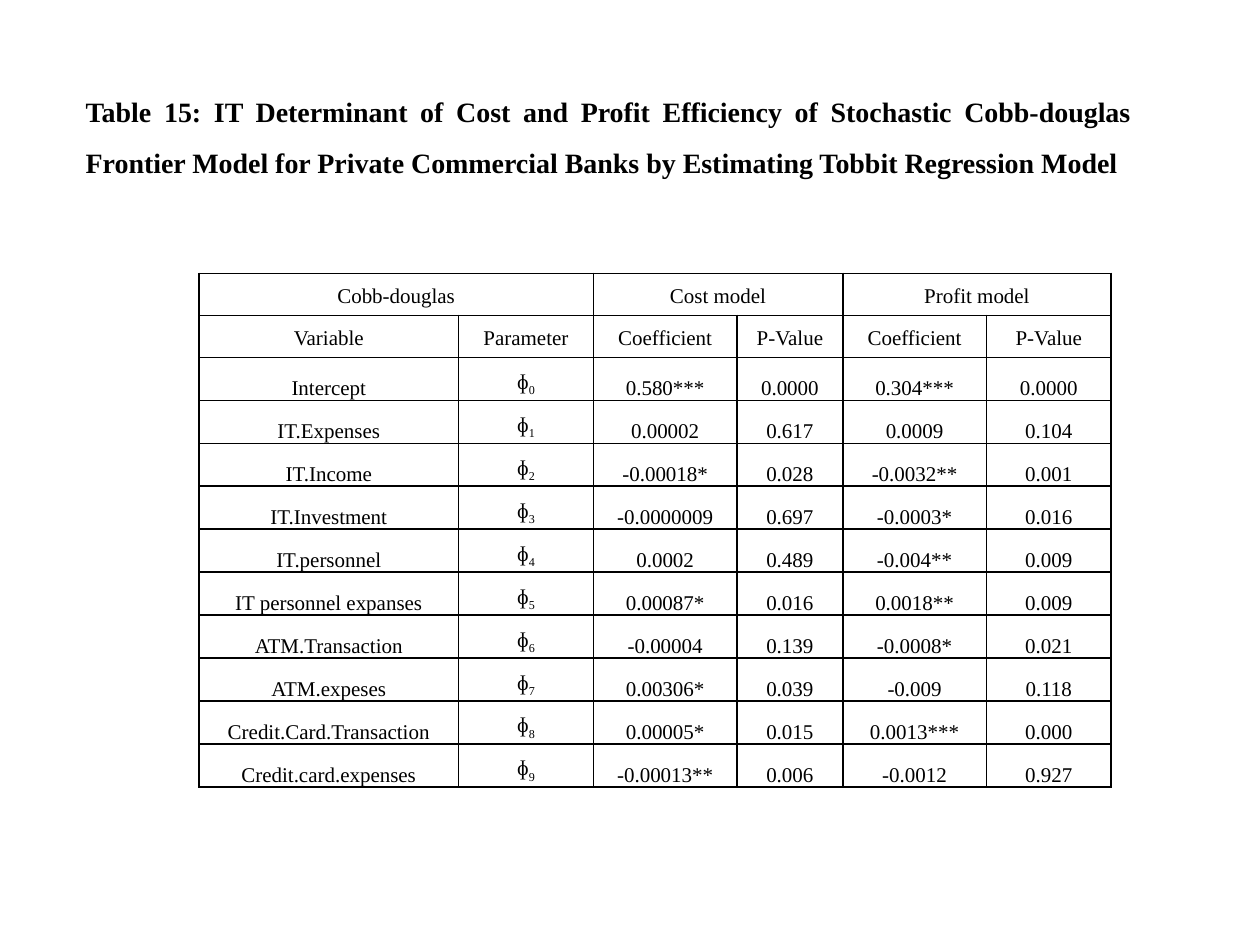
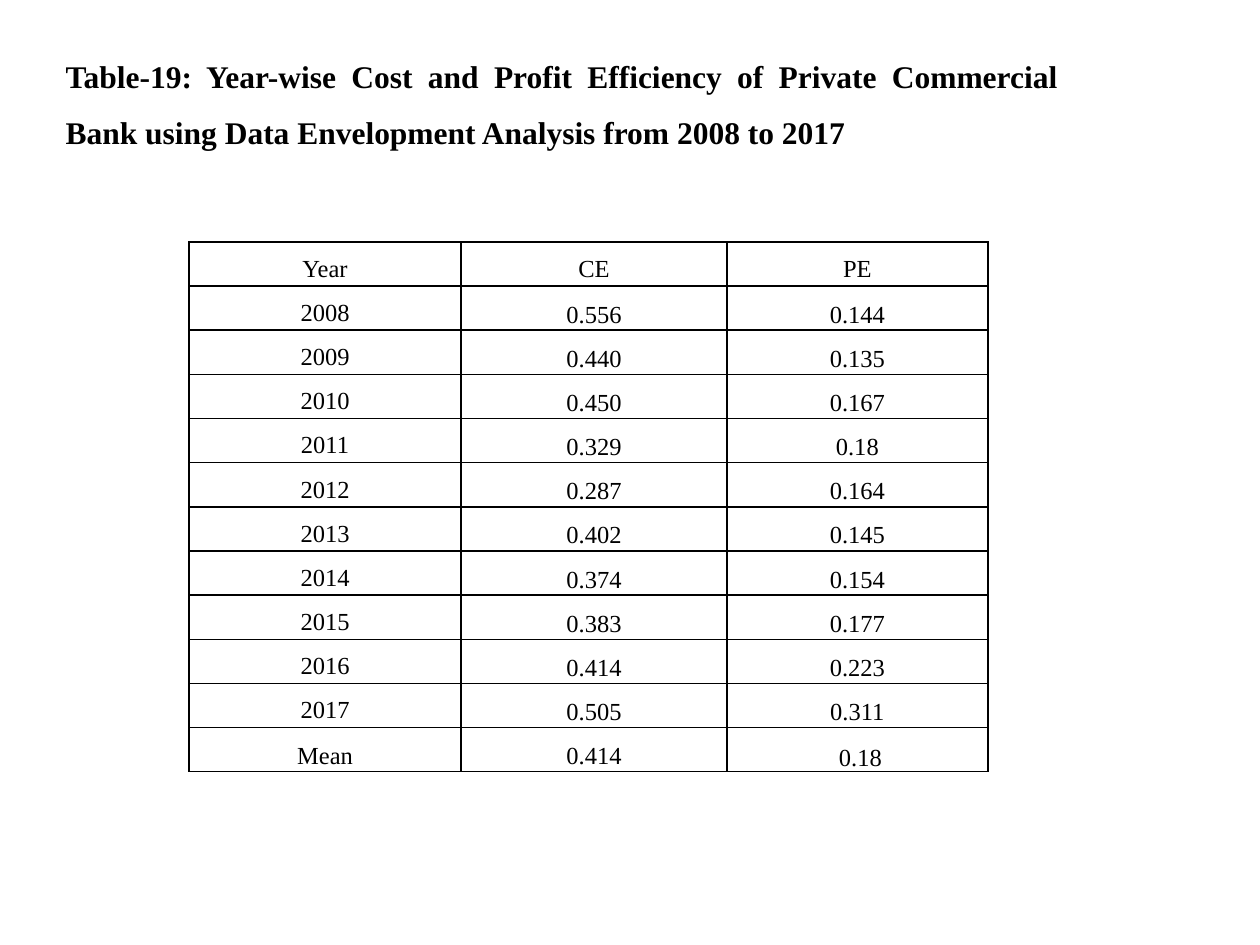
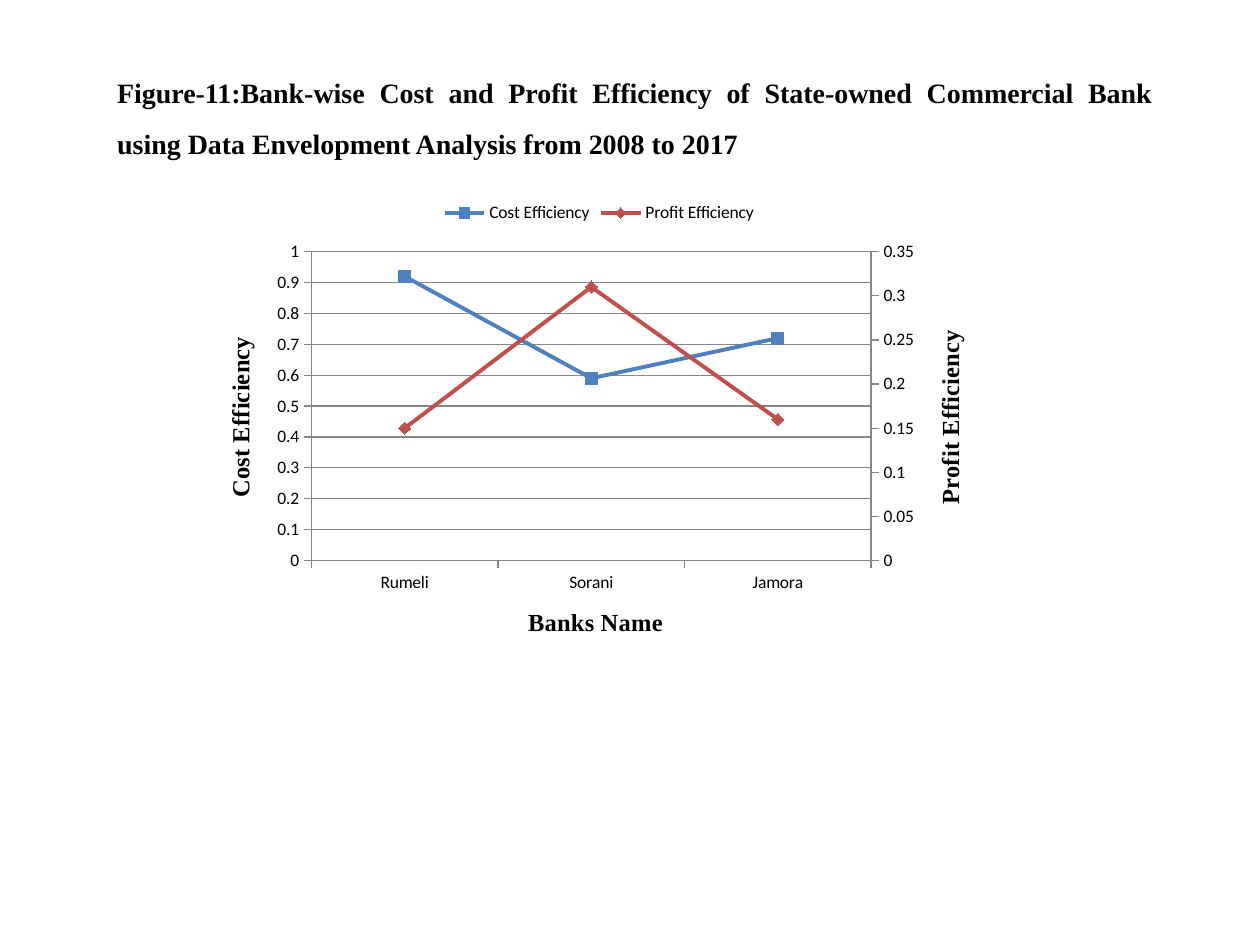
from copy import deepcopy

from lxml import etree
from pptx import Presentation
from pptx import util as u
from pptx.chart import data as chart_data
from pptx.dml.color import RGBColor
from pptx.enum import chart as ch
from pptx.enum import text as tx
from pptx.oxml import ns

PX = 9144
COLORS = {"ink": "000000", "paper": "FFFFFF", "axis": "868686",
          "cost": "4F81BD", "profit": "C0504D"}
SERIF, SANS = "Times New Roman", "Calibri"
TOP, MIDDLE, BOTTOM = (tx.MSO_ANCHOR.TOP, tx.MSO_ANCHOR.MIDDLE, tx.MSO_ANCHOR.BOTTOM)
TITLE_ONLY = 5

REGRESSION = [
    ["Cobb-douglas", "", "Cost model", "", "Profit model", ""],
    ["Variable", "Parameter"] + ["Coefficient", "P-Value"] * 2,
    ["Intercept", "ɸ0", "0.580***", "0.0000", "0.304***", "0.0000"],
    ["IT.Expenses", "ɸ1", "0.00002", "0.617", "0.0009", "0.104"],
    ["IT.Income", "ɸ2", "-0.00018*", "0.028", "-0.0032**", "0.001"],
    ["IT.Investment", "ɸ3", "-0.0000009", "0.697", "-0.0003*", "0.016"],
    ["IT.personnel", "ɸ4", "0.0002", "0.489", "-0.004**", "0.009"],
    ["IT personnel expanses", "ɸ5", "0.00087*", "0.016", "0.0018**", "0.009"],
    ["ATM.Transaction", "ɸ6", "-0.00004", "0.139", "-0.0008*", "0.021"],
    ["ATM.expeses", "ɸ7", "0.00306*", "0.039", "-0.009", "0.118"],
    ["Credit.Card.Transaction", "ɸ8", "0.00005*", "0.015", "0.0013***", "0.000"],
    ["Credit.card.expenses", "ɸ9", "-0.00013**", "0.006", "-0.0012", "0.927"],
]
YEARLY = [
    ["Year", "CE", "PE"],
    ["2008", "0.556", "0.144"],
    ["2009", "0.440", "0.135"],
    ["2010", "0.450", "0.167"],
    ["2011", "0.329", "0.18"],
    ["2012", "0.287", "0.164"],
    ["2013", "0.402", "0.145"],
    ["2014", "0.374", "0.154"],
    ["2015", "0.383", "0.177"],
    ["2016", "0.414", "0.223"],
    ["2017", "0.505", "0.311"],
    ["Mean", "0.414", " 0.18"],
]
BANKS = ["Rumeli", "Sorani", "Jamora"]
EFFICIENCY = [
    ("Cost Efficiency", [0.92, 0.59, 0.72], "cost", ch.XL_MARKER_STYLE.SQUARE),
    ("Profit Efficiency", [0.15, 0.31, 0.16], "profit", ch.XL_MARKER_STYLE.DIAMOND),
]


def px(length):
    """Turn px into EMU."""
    return u.Emu(length * PX)


def rgb(name):
    """Look up a named colour."""
    return RGBColor.from_string(COLORS[name])


def style_font(font, size, face=SERIF, bold=False):
    """Give a font its size, face, weight and the ink colour."""
    font.size, font.name, font.bold = u.Pt(size), face, bold
    font.color.rgb = rgb("ink")


def write(paragraph, pieces, size, align, after=0, bold=False):
    """Fill a paragraph run by run; pieces after the first are subscripts."""
    paragraph.alignment, paragraph.line_spacing = align, 1.5
    paragraph.space_after = u.Pt(after)
    for index, piece in enumerate(pieces):
        run = paragraph.add_run()
        run.text = piece
        style_font(run.font, size, bold=bold)
        if index:
            run._r.get_or_add_rPr().set("baseline", "-25000")


def titled_slide(deck, heading, box, size, after=0):
    """Add a slide with a justified bold heading in the given box."""
    slide = deck.slides.add_slide(deck.slide_layouts[TITLE_ONLY])
    title = slide.shapes.title
    title.left, title.top, title.width, title.height = map(px, box)
    frame = title.text_frame
    frame.word_wrap, frame.vertical_anchor = True, TOP
    frame.auto_size = tx.MSO_AUTO_SIZE.SHAPE_TO_FIT_TEXT
    write(frame.paragraphs[0], [heading], size, tx.PP_ALIGN.JUSTIFY, after, bold=True)
    return slide


def frame_cell(cell):
    """Give a cell thin margins, four ink borders and a paper fill."""
    cell.margin_left = cell.margin_right = px(7)
    cell.margin_top = cell.margin_bottom = 0
    properties = cell._tc.get_or_add_tcPr()
    for side in ("lnL", "lnR", "lnT", "lnB"):
        line = etree.SubElement(properties, ns.qn(f"a:{side}"), w=str(u.Pt(1)))
        solid = etree.SubElement(line, ns.qn("a:solidFill"))
        etree.SubElement(solid, ns.qn("a:srgbClr"), val=COLORS["ink"])
    cell.fill.solid()
    cell.fill.fore_color.rgb = rgb("paper")


def grid(slide, rows, box, widths, size, cell_rule):
    """Add a bordered table; cell_rule gives pieces, anchor and space after."""
    left, top, width, height = map(px, box)
    table = slide.shapes.add_table(len(rows), len(widths), left, top, width, height).table
    table.first_row = table.horz_banding = False
    for column, column_width in zip(table.columns, widths):
        column.width = px(column_width)
    for r, row in enumerate(rows):
        table.rows[r].height = height // len(rows)
        for c, value in enumerate(row):
            cell = table.cell(r, c)
            frame_cell(cell)
            if value:
                pieces, cell.vertical_anchor, after = cell_rule(r, c, value)
                write(cell.text_frame.paragraphs[0], pieces, size,
                      tx.PP_ALIGN.CENTER, after)
    return table


def regression_cell(r, c, value):
    """Set figures at the bottom, headings and parameters at the top."""
    if r > 1 and c == 1:
        return list(value), TOP, 10
    return [value], BOTTOM if r > 1 else TOP, 10


def yearly_cell(r, c, value):
    """Set the header on top, years on top and figures in the middle."""
    if r == 0:
        return [value], TOP, 0
    if r == len(YEARLY) - 1:
        return [value], *((BOTTOM, 10) if c == 2 else (MIDDLE, 0))
    return [value], *((TOP, 10), (MIDDLE, 0), (MIDDLE, 10))[c]


def style_axis(axis, caption, upright=False):
    """Give an axis its caption, outside ticks and grey line."""
    axis.major_tick_mark = ch.XL_TICK_MARK.OUTSIDE
    axis.minor_tick_mark = ch.XL_TICK_MARK.NONE
    axis.format.line.color.rgb = rgb("axis")
    axis.format.line.width = u.Pt(0.75)
    style_font(axis.tick_labels.font, 10, SANS)
    frame = axis.axis_title.text_frame
    run = frame.paragraphs[0].add_run()
    run.text = caption
    style_font(run.font, 14, bold=True)
    if upright:
        body = frame._txBody.find(ns.qn("a:bodyPr"))
        body.set("rot", "-5400000")
        body.set("vert", "horz")


def set_value(parent, tag, value):
    """Set the val attribute of a chart element below parent."""
    parent.find(f".//{ns.qn(tag)}").set("val", str(value))


def split_to_right_axis(plot_area, caption, maximum, step):
    """Move the second series to its own plot with a value axis on the right."""
    cost_plot = plot_area.find(ns.qn("c:lineChart"))
    profit_plot = deepcopy(cost_plot)
    cost_plot.remove(cost_plot.findall(ns.qn("c:ser"))[1])
    profit_plot.remove(profit_plot.findall(ns.qn("c:ser"))[0])
    cost_plot.addnext(profit_plot)
    banks_axis = deepcopy(plot_area.find(ns.qn("c:catAx")))
    value_axis = plot_area.find(ns.qn("c:valAx"))
    right_axis = deepcopy(value_axis)
    value_axis.addnext(right_axis)
    right_axis.addnext(banks_axis)
    banks_id, right_id = 50010, 50020
    for reference, number in zip(profit_plot.findall(ns.qn("c:axId")), (banks_id, right_id)):
        reference.set("val", str(number))
    for axis, own, other in ((banks_axis, banks_id, right_id),
                             (right_axis, right_id, banks_id)):
        set_value(axis, "c:axId", own)
        set_value(axis, "c:crossAx", other)
    set_value(banks_axis, "c:delete", 1)
    banks_axis.remove(banks_axis.find(ns.qn("c:title")))
    right_axis.remove(right_axis.find(ns.qn("c:majorGridlines")))
    for tag, value in (("c:axPos", "r"), ("c:crosses", "max"),
                       ("c:max", maximum), ("c:majorUnit", step)):
        set_value(right_axis, tag, value)
    right_axis.find(f".//{ns.qn('a:t')}").text = caption


def place_plot(plot_area, x, y, w, h):
    """Fix the inner plot area as fractions of the chart."""
    for old in plot_area.findall(ns.qn("c:layout")):
        plot_area.remove(old)
    layout = etree.Element(ns.qn("c:layout"))
    manual = etree.SubElement(layout, ns.qn("c:manualLayout"))
    for tag, value in (("layoutTarget", "inner"), ("xMode", "edge"), ("yMode", "edge"),
                       ("x", x), ("y", y), ("w", w), ("h", h)):
        etree.SubElement(manual, ns.qn(f"c:{tag}"), val=str(value))
    plot_area.insert(0, layout)


def efficiency_chart(slide, box):
    """Add the line chart of cost (left axis) and profit (right axis) by bank."""
    figures = chart_data.CategoryChartData()
    figures.categories = BANKS
    for name, values, _, _ in EFFICIENCY:
        figures.add_series(name, values)
    chart = slide.shapes.add_chart(ch.XL_CHART_TYPE.LINE_MARKERS,
                                   *map(px, box), figures).chart
    chart.has_title = False
    style_font(chart.font, 10, SANS)
    chart.has_legend = True
    chart.legend.position = ch.XL_LEGEND_POSITION.TOP
    chart.legend.include_in_layout = False
    style_font(chart.legend.font, 10, SANS)
    chart.plots[0].vary_by_categories = False
    for series, (_, _, color, marker) in zip(chart.plots[0].series, EFFICIENCY):
        series.smooth = False
        series.format.line.color.rgb = rgb(color)
        series.format.line.width = u.Pt(2.25)
        series.marker.style, series.marker.size = marker, 7
        series.marker.format.fill.solid()
        series.marker.format.fill.fore_color.rgb = rgb(color)
        series.marker.format.line.color.rgb = rgb(color)
    style_axis(chart.category_axis, "Banks Name")
    left_axis = chart.value_axis
    style_axis(left_axis, EFFICIENCY[0][0], upright=True)
    left_axis.minimum_scale, left_axis.maximum_scale, left_axis.major_unit = 0, 1, 0.1
    left_axis.has_major_gridlines = True
    left_axis.major_gridlines.format.line.color.rgb = rgb("axis")
    left_axis.major_gridlines.format.line.width = u.Pt(0.75)
    plot_area = chart._chartSpace.find(f".//{ns.qn('c:plotArea')}")
    split_to_right_axis(plot_area, EFFICIENCY[1][0], 0.35, 0.05)
    place_plot(plot_area, 0.13, 0.13, 0.72, 0.64)


def regression_slide(deck):
    """Build the slide with the regression results."""
    slide = titled_slide(
        deck, "Table 15: IT Determinant of Cost and Profit Efficiency of Stochastic "
        "Cobb-douglas Frontier Model for Private Commercial Banks by Estimating "
        "Tobbit Regression Model", (58, 57, 850, 91), 16, after=10)
    table = grid(slide, REGRESSION, (158, 217, 725, 400),
                 (206, 107, 114, 84, 114, 99), 12, regression_cell)
    for first in range(0, 6, 2):
        table.cell(0, first).merge(table.cell(0, first + 1))


def yearly_slide(deck):
    """Build the slide with efficiency by year."""
    slide = titled_slide(
        deck, "Table-19: Year-wise Cost and Profit Efficiency of Private Commercial "
        "Bank using Data Envelopment Analysis from 2008 to 2017", (42, 25, 808, 96), 18)
    grid(slide, YEARLY, (150, 192, 633, 420), (216, 211, 207), 14, yearly_cell)


def banks_slide(deck):
    """Build the slide with efficiency by bank."""
    slide = titled_slide(
        deck, "Figure-11:Bank-wise Cost and Profit Efficiency of State-owned Commercial "
        "Bank using Data Envelopment Analysis from 2008 to 2017", (83, 42, 842, 87), 16)
    efficiency_chart(slide, (167, 150, 617, 383))


def main():
    """Build and save the deck."""
    deck = Presentation()
    deck.slide_width, deck.slide_height = px(1000), px(750)
    regression_slide(deck)
    yearly_slide(deck)
    banks_slide(deck)
    deck.save("out.pptx")


if __name__ == "__main__":
    main()
